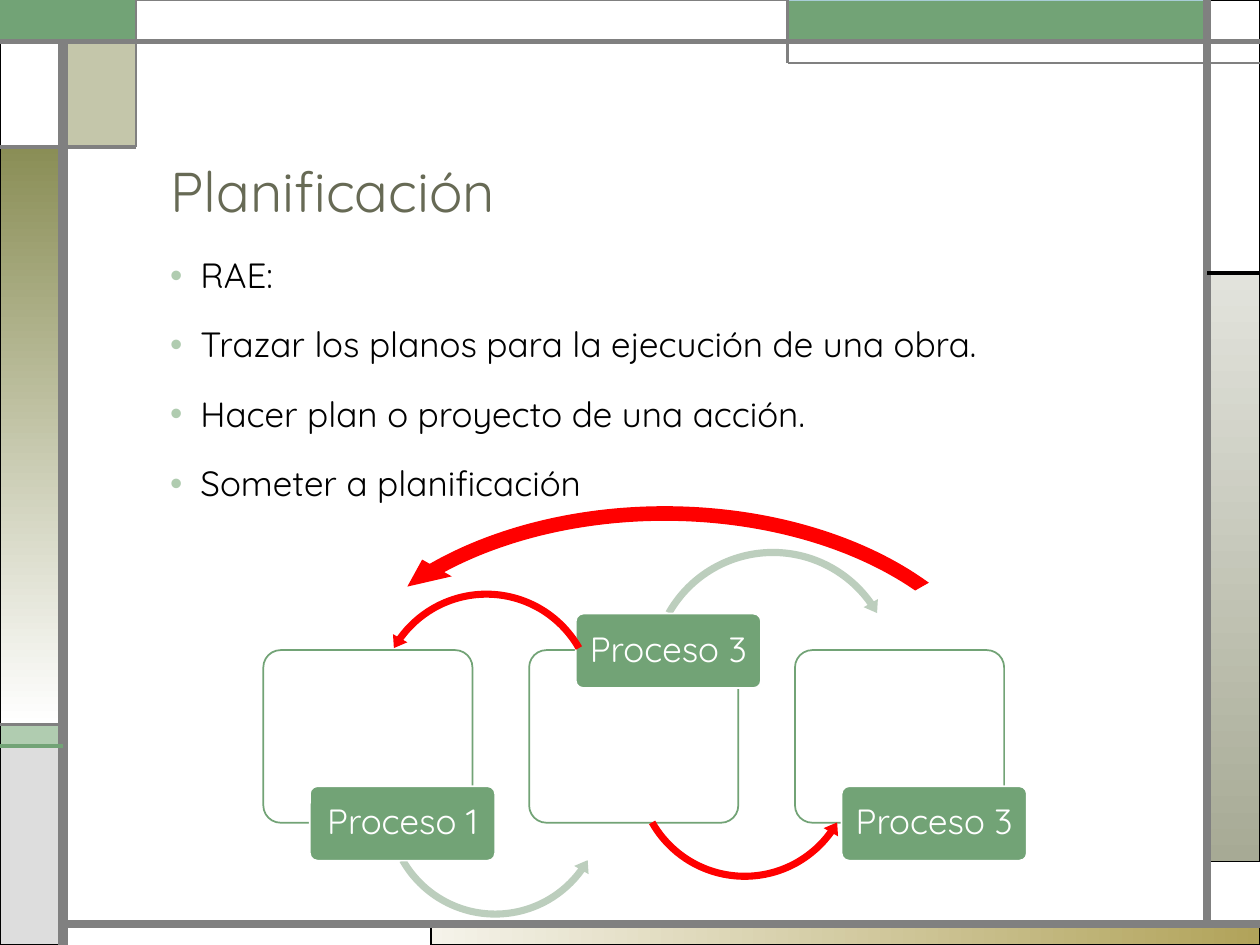
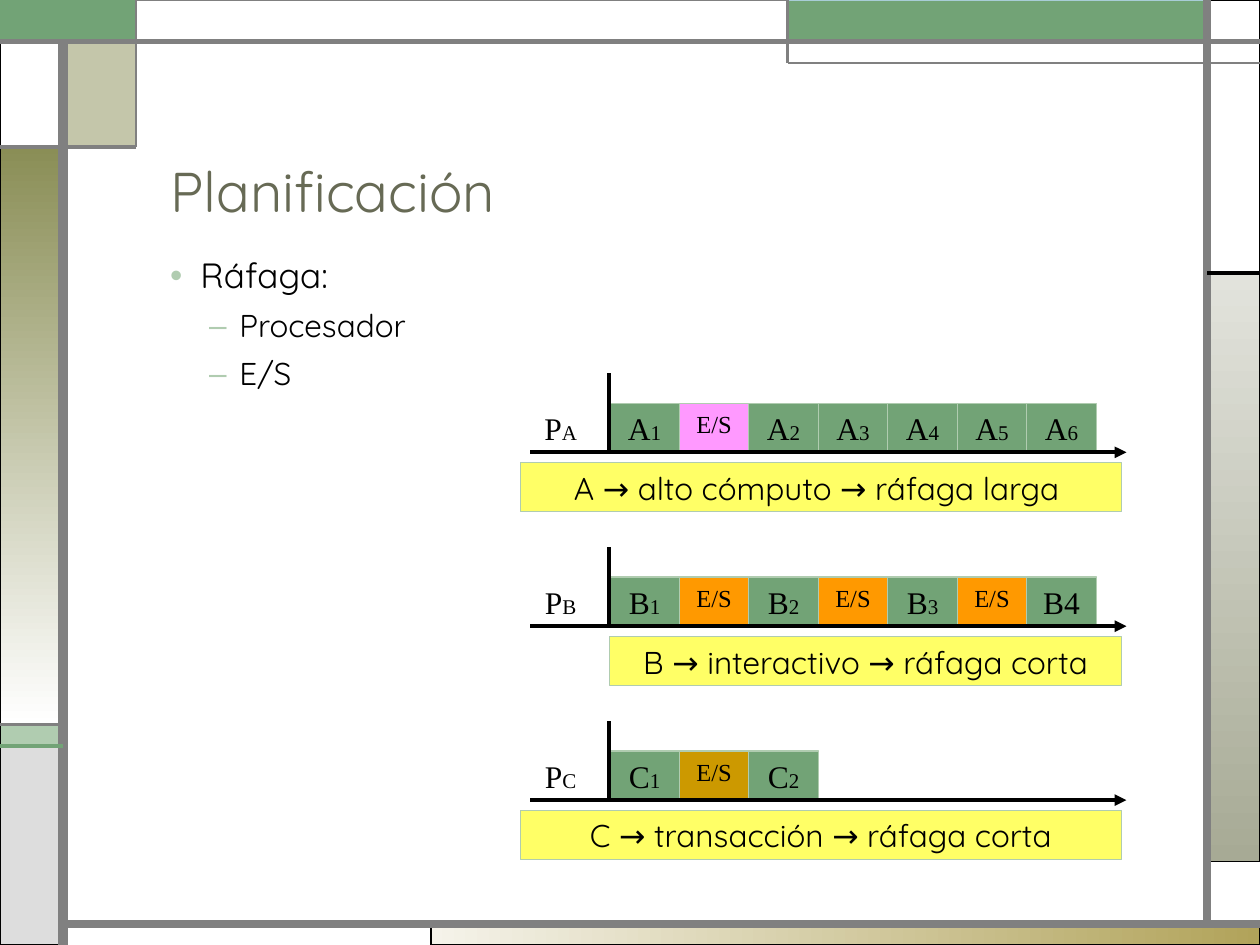
from lxml import etree
from pptx import Presentation
from pptx.dml.color import RGBColor
from pptx.enum.shapes import MSO_CONNECTOR, MSO_SHAPE
from pptx.enum.text import MSO_ANCHOR, MSO_AUTO_SIZE, PP_ALIGN
from pptx.oxml.ns import qn
from pptx.util import Inches, Pt

RECT, ROUND = MSO_SHAPE.RECTANGLE, MSO_SHAPE.ROUNDED_RECTANGLE
ARC, LEFT_ARC = MSO_SHAPE.CIRCULAR_ARROW, MSO_SHAPE.LEFT_CIRCULAR_ARROW
LINE = MSO_CONNECTOR.STRAIGHT
LEFT, CENTER = PP_ALIGN.LEFT, PP_ALIGN.CENTER
TOP, MIDDLE, BOTTOM = MSO_ANCHOR.TOP, MSO_ANCHOR.MIDDLE, MSO_ANCHOR.BOTTOM

SANS, SERIF = "Quicksand", "Times New Roman"
GREEN, PALE, MIST = "72A376", "B0CCB0", "BCCEBD"
OLIVE, INK, GRAY = "8A8E56", "676A55", "808080"
BLACK, WHITE, RED = "000000", "FFFFFF", "FF0000"
PINK, ORANGE, GOLD, YELLOW = "FF99FF", "FF9900", "CC9900", "FFFF66"

# Frame bands: box, fill (a pair is a gradient), gradient angle, line, alpha
BANDS = [
    ((3.42, 7.33, 6.58, 0.17), ("F5F3EA", "B1A35A"), 0, (BLACK, 0.75), 100),
    ((9.58, 2.17, 0.42, 4.67), ("E2E3DC", "A7AA95"), 90, (BLACK, 0.75), 100),
    ((0, 5.75, 0.5, 0.17), PALE, 0, (BLACK, 0.75), 100),
    ((0, 5.92, 0.5, 1.58), "DDDDDD", 0, (BLACK, 0.75), 100),
    ((9.58, 0, 0.42, 2.17), WHITE, 0, (BLACK, 0.75), 100),
    ((6.25, 0, 3.33, 0.33), GREEN, 0, ("A8CDD7", 0.75), 100),
    ((0.5, 0.33, 0.58, 0.83), OLIVE, 0, (BLACK, 0.75), 50),
    ((0, 1.17, 0.5, 4.58), (OLIVE, WHITE), 90, (BLACK, 0.75), 100),
    ((0, 0.33, 0.5, 0.83), WHITE, 0, (BLACK, 0.75), 100),
    ((0, 0, 1.08, 0.33), GREEN, 0, (GREEN, 1.5), 100),
    ((1.08, 0, 5.17, 0.33), WHITE, 0, (GRAY, 0.75), 100),
]
# Frame rules: ends, colour, width
RULES = [
    ((0.5, 7.5, 0.5, 0.33), GRAY, 6),
    ((0.5, 7.33, 10, 7.33), GRAY, 4.5),
    ((9.58, 7.33, 9.58, 0), GRAY, 4.5),
    ((0, 0.33, 10, 0.33), GRAY, 3),
    ((10, 0.5, 6.25, 0.5), GRAY, 1.5),
    ((6.25, 0.5, 6.25, 0), GRAY, 1.5),
    ((9.58, 2.17, 10, 2.17), BLACK, 2.25),
    ((1.08, 0, 1.08, 1.17), GRAY, 1.5),
    ((1.08, 1.17, 0, 1.17), GRAY, 2.25),
    ((0.5, 5.75, 0, 5.75), GRAY, 2.25),
    ((0.5, 5.92, 0, 5.92), GREEN, 2.25),
]

TITLE = "Planificación"
TITLE_BOX, BODY_BOX = (1.25, 0.58, 7.88, 1.25), (1.25, 2, 7.88, 4.58)
# Outline levels: size, space before, indent, bullet
LEVELS = [(20, 18, 0.24, "•"), (18, 8, 0.55, "–")]
PLAN = [
    (0, "RAE:"),
    (0, "Trazar los planos para la ejecución de una obra."),
    (0, "Hacer plan o proyecto de una acción."),
    (0, "Someter a planificación"),
]
BURST = [(0, "Ráfaga:"), (1, "Procesador"), (1, "E/S")]

# Arrow forms: shape, width %, three angles in degrees, head %
UNDER = (LEFT_ARC, 3.1, (6.3, 35.89, 150.41), 3.6)
OVER = (ARC, 2.8, (5.6, 324.81, 209.59), 3.2)
# Steps: label, top of its tag, arrow to the next step
STEPS = [
    ("Proceso 1", 6.24, (UNDER, (3.02, 5.5, 1.82, 1.82))),
    ("Proceso 3", 4.87, (OVER, (5.12, 4.32, 2.03, 2.03))),
    ("Proceso 3", 6.24, None),
]
STEP_X, STEP_GAP = 2.09, 2.11
# Red arrows: box, rotation
LOOPS = [
    ((2.95, 4.65, 1.82, 1.82), 180),
    ((5, 5.2, 1.82, 1.82), 0),
    ((2.4, 3.94, 5.75, 3.75), 180),
]

# Time lines: name, bursts (None is E/S), E/S colour, note, left of note
ROWS = [
    ("A", ["1", None, "2", "3", "4", "5", "6"], PINK,
     "A → alto cómputo → ráfaga larga ", 4.13),
    ("B", ["1", None, "2", None, "3", None, "4"], ORANGE,
     "B → interactivo → ráfaga corta", 4.84),
    ("C", ["1", None, "2"], GOLD,
     "C → transacción → ráfaga corta", 4.13),
]
ROW_Y, ROW_GAP, ROW_H = 3.2, 1.38, 0.39
CELL_X, CELL_W = 4.84, (8.7 - 4.84) / 7
AXIS_X, AXIS_END, NOTE_END = 4.21, 8.94, 8.9


def tint(hue):
    """Turn a hex string into a colour."""
    return RGBColor.from_string(hue)


def add_box(shapes, kind, box, fill, line=None, alpha=100, angle=0):
    """Add a preset shape with a plain or gradient fill."""
    shape = shapes.add_shape(kind, *map(Inches, box))
    shape.shadow.inherit = False
    if isinstance(fill, tuple):
        shape.fill.gradient()
        shape.fill.gradient_angle = -angle % 360
        for stop, hue in zip(shape.fill.gradient_stops, fill):
            stop.color.rgb = tint(hue)
    else:
        shape.fill.solid()
        shape.fill.fore_color.rgb = tint(fill)
    if alpha < 100:
        hue = next(shape.element.spPr.iter(qn("a:srgbClr")))
        etree.SubElement(hue, qn("a:alpha"), val=str(alpha * 1000))
    if line:
        shape.line.color.rgb = tint(line[0])
        shape.line.width = Pt(line[1])
    else:
        shape.line.fill.background()
    return shape


def add_line(shapes, ends, hue, width, head=False):
    """Add a straight line, with an arrowhead at its end if asked."""
    line = shapes.add_connector(LINE, *map(Inches, ends))
    line.line.color.rgb = tint(hue)
    line.line.width = Pt(width)
    props = line.element.spPr
    if head:
        etree.SubElement(props.find(qn("a:ln")), qn("a:tailEnd"), type="triangle")
    etree.SubElement(props, qn("a:effectLst"))


def add_arc(shapes, form, box, hue, turn=0):
    """Add a bent arrow of the given form."""
    kind, width, angles, head = form
    arc = add_box(shapes, kind, box, hue)
    values = [width / 100, *(a * 0.6 for a in angles), head / 100]
    for i, value in enumerate(values):
        arc.adjustments[i] = value
    arc.rotation = turn


def write(shape, runs, face, hue, anchor=TOP):
    """Write one centred line from pairs of text and size."""
    frame = shape.text_frame
    frame.word_wrap = True
    frame.vertical_anchor = anchor
    par = frame.paragraphs[0]
    par.alignment = CENTER
    par.font.name, par.font.color.rgb = face, tint(hue)
    for text, size in runs:
        run = par.add_run()
        run.text, run.font.size = text, Pt(size)


def place(holder, box, anchor):
    """Move a placeholder and return its text frame."""
    holder.left, holder.top, holder.width, holder.height = map(Inches, box)
    frame = holder.text_frame
    frame.auto_size = MSO_AUTO_SIZE.NONE
    frame.vertical_anchor = anchor
    return frame


def style(par, size, hue):
    """Give a title or list paragraph its font and spacing."""
    par.alignment, par.line_spacing = LEFT, 0.9
    par.font.name, par.font.size = SANS, Pt(size)
    par.font.color.rgb = tint(hue)


def add_bullet(par, indent, mark):
    """Give a paragraph a hanging bullet."""
    props = par._p.get_or_add_pPr()
    props.set("marL", str(Inches(indent)))
    props.set("indent", str(Inches(-0.24)))
    hue = etree.SubElement(props, qn("a:buClr"))
    etree.SubElement(hue, qn("a:srgbClr"), val=PALE)
    etree.SubElement(props, qn("a:buFont"), typeface="Arial")
    etree.SubElement(props, qn("a:buChar"), char=mark)


def add_slide(deck, items):
    """Add a slide with the title and a bullet list."""
    slide = deck.slides.add_slide(deck.slide_layouts[1])
    frame = place(slide.shapes.title, TITLE_BOX, BOTTOM)
    frame.text = TITLE
    style(frame.paragraphs[0], 32, INK)
    frame = place(slide.placeholders[1], BODY_BOX, TOP)
    frame.text = "\n".join(text for _, text in items)
    for par, (level, _) in zip(frame.paragraphs, items):
        size, before, indent, mark = LEVELS[level]
        par.level = level
        style(par, size, BLACK)
        par.space_before = Pt(before)
        add_bullet(par, indent, mark)
    return slide


def add_frame(slide):
    """Draw the frame as a group and hand it to the layout of the slide."""
    group = slide.shapes.add_group_shape()
    for box, fill, angle, line, alpha in BANDS:
        add_box(group.shapes, RECT, box, fill, line, alpha, angle)
    for ends, hue, width in RULES:
        add_line(group.shapes, ends, hue, width)
    for number, mark in enumerate(group.element.iter(qn("p:cNvPr")), 100):
        mark.set("id", str(number))
    tree = slide.slide_layout.placeholders[0].element.getparent()
    tree.insert(2, group.element)


def draw_steps(shapes):
    """Draw the three steps and the arrows between them."""
    for i, (label, top, link) in enumerate(STEPS):
        x = STEP_X + i * STEP_GAP
        card = add_box(shapes, ROUND, (x, 5.16, 1.66, 1.37), WHITE, (GREEN, 1), 90)
        if link:
            add_arc(shapes, *link, MIST)
        tag = add_box(shapes, ROUND, (x + 0.37, top, 1.47, 0.59), GREEN, (WHITE, 1))
        card.adjustments[0] = tag.adjustments[0] = 0.1
        write(tag, [(label, 20)], SANS, WHITE, MIDDLE)
        frame = tag.text_frame
        frame.margin_left = frame.margin_right = Inches(0.05)
        frame.margin_top = frame.margin_bottom = Inches(0.05)
        frame.paragraphs[0].line_spacing = 0.9
    for box, turn in LOOPS:
        add_arc(shapes, UNDER, box, RED, turn)


def draw_row(shapes, y, name, bursts, hue, note, left):
    """Draw the time line of one process with its note."""
    edge = (PALE, 0.75)
    for i, mark in enumerate(bursts):
        box = (CELL_X + i * CELL_W, y, CELL_W, ROW_H)
        cell = add_box(shapes, RECT, box, GREEN if mark else hue, edge)
        if not mark:
            runs = [("E/S", 14)]
        elif name + mark == "B4":
            runs = [("B4", 18)]
        else:
            runs = [(name, 18), (mark, 12)]
        write(cell, runs, SERIF, BLACK)
    label = shapes.add_textbox(*map(Inches, (AXIS_X, y, 0.48, ROW_H)))
    write(label, [("P", 18), (name, 12)], SERIF, BLACK)
    base = y + ROW_H
    add_line(shapes, (4.83, base, 4.83, y - 0.24), BLACK, 2.25)
    add_line(shapes, (AXIS_X, base, AXIS_END, base), BLACK, 2.25, head=True)
    box = (left, base + 0.08, NOTE_END - left, ROW_H)
    write(add_box(shapes, RECT, box, YELLOW, edge), [(note, 18)], SANS, BLACK)


def main():
    """Build both slides and save them."""
    deck = Presentation()
    deck.slide_width, deck.slide_height = Inches(10), Inches(7.5)
    first = add_slide(deck, PLAN)
    add_frame(first)
    draw_steps(first.shapes)
    second = add_slide(deck, BURST)
    for i, row in enumerate(ROWS):
        draw_row(second.shapes, ROW_Y + i * ROW_GAP, *row)
    deck.save("out.pptx")


main()
